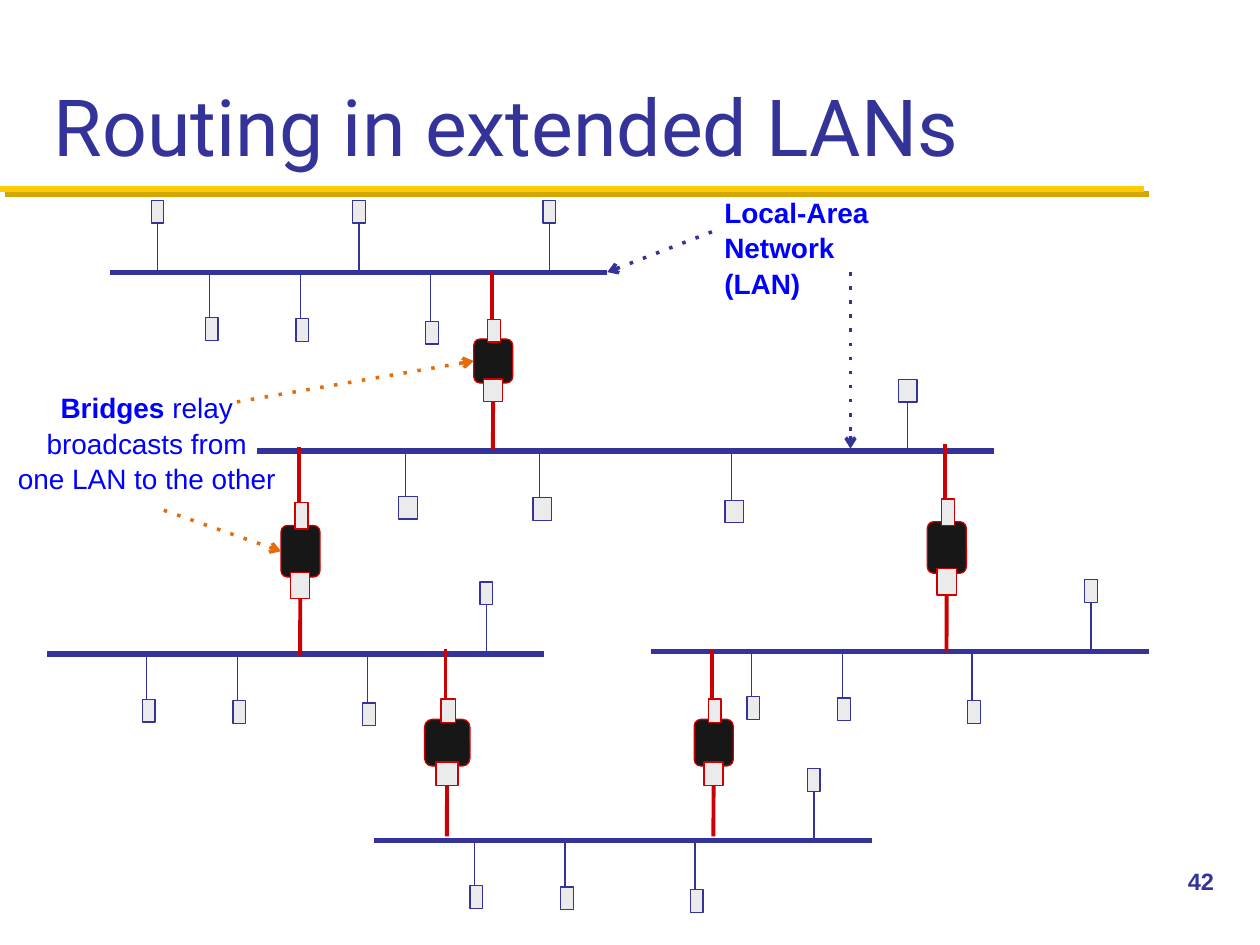
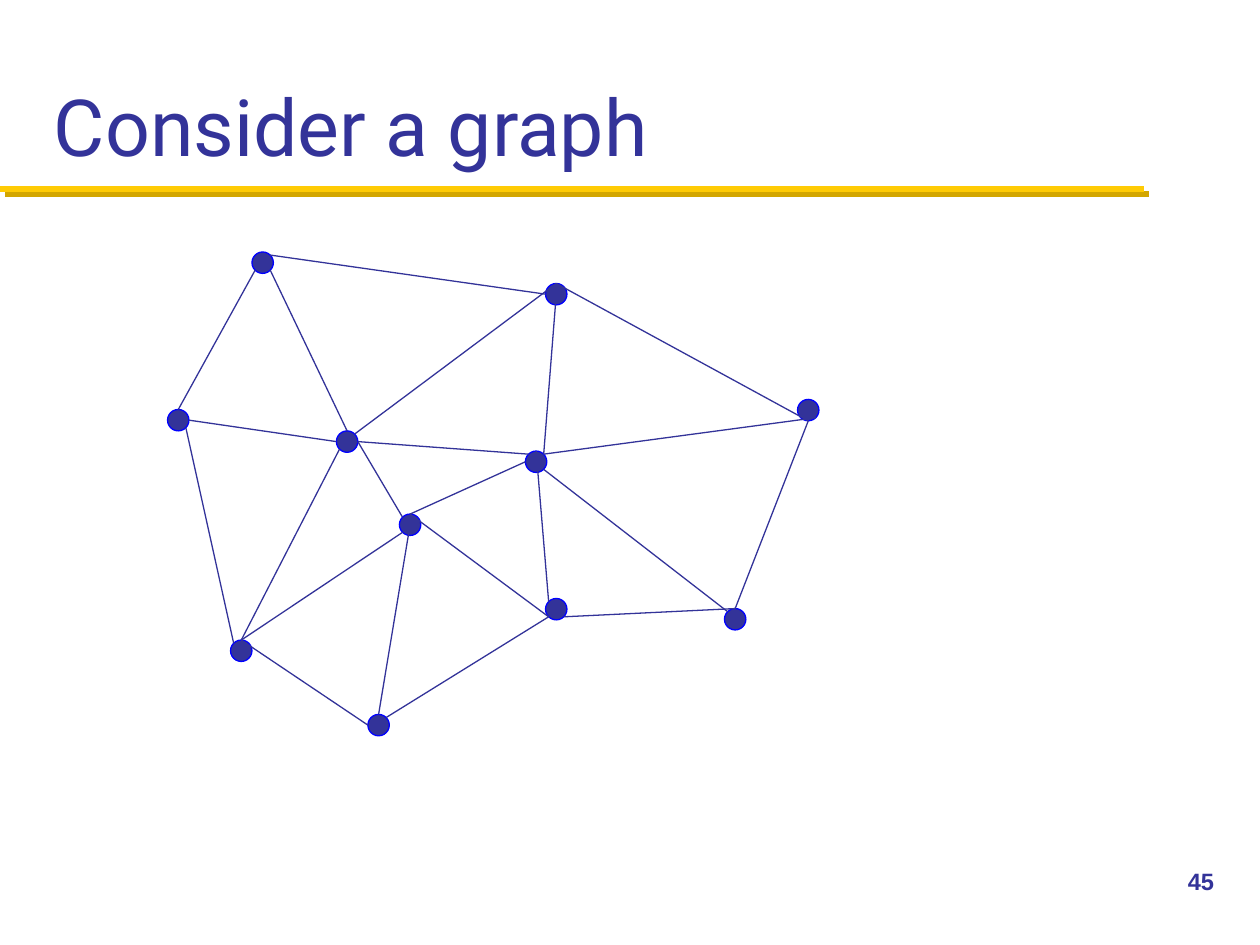
from dataclasses import dataclass

from lxml import etree
from pptx import Presentation
from pptx import util as u
from pptx.dml.color import RGBColor
from pptx.enum import shapes, text
from pptx.oxml import ns

NAVY = RGBColor(0x33, 0x33, 0x99)
GOLD = RGBColor(0xFF, 0xCB, 0x05)
GOLD_SHADOW = RGBColor(0xD3, 0xA6, 0x00)
BLUE = RGBColor(0x00, 0x00, 0xFF)
RED = RGBColor(0xCC, 0x00, 0x00)
ORANGE = RGBColor(0xE4, 0x6C, 0x0A)
BLACK = RGBColor(0x17, 0x17, 0x17)
GRAY = RGBColor(0xEB, 0xEB, 0xEB)

BODY_FONT = "Arial"
TITLE_FONT = "Roboto"
GRID = 2.54  # centimetres in one grid unit; all places below are in grid units
THIN = 0.75

Point = tuple[float, float]
Frame = tuple[float, float, float, float]


@dataclass(frozen=True)
class Lan:
    left: float
    y: float
    upper_hosts: tuple[float, ...] = (3.44,)
    scale: float = 1.0


@dataclass(frozen=True)
class Bridge:
    left: float
    top: float
    height: float
    width: float = 0.31


@dataclass(frozen=True)
class Label:
    frame: Frame
    lines: tuple[str, ...]
    size: float
    color: RGBColor
    bold: bool = False
    font: str = BODY_FONT
    align: text.PP_ALIGN = text.PP_ALIGN.LEFT
    anchor: text.MSO_ANCHOR = text.MSO_ANCHOR.TOP
    wrap: bool = True
    spacing: float = 1.0


@dataclass(frozen=True)
class Edge:
    start: str
    start_side: str
    end: str
    end_side: str


# Routing slide: networks, their hosts and the bridges between them
LAN_WIDTH = 3.95
LOWER_HOSTS = ((0.76, 0.36, -0.01), (1.48, 0.37, 0), (2.51, 0.39, 0.02))  # x, box drop, wire drop
LANS = (
    Lan(0.87, 2.16, (0.33, 1.93, 3.44)),
    Lan(2.04, 3.58, scale=1.48),
    Lan(0.37, 5.19),
    Lan(5.17, 5.17),
    Lan(2.97, 6.67),
)
BRIDGES = {
    "top": Bridge(3.76, 2.69, 0.35),
    "left": Bridge(2.23, 4.17, 0.41),
    "bottom left": Bridge(3.37, 5.71, 0.37, 0.36),
    "right": Bridge(7.36, 4.14, 0.41),
    "bottom right": Bridge(5.51, 5.71, 0.37),
}
LAN_LABEL = Label((5.65, 1.49, 1.72, 0.71), ("Local-Area", "Network (LAN)"),
                  16, BLUE, bold=True, spacing=1.05)
BRIDGE_LABEL = Label((0.03, 3.04, 2.27, 0.91),
                     ("Bridges relay", "broadcasts from", "one LAN to the other"),
                     16, BLUE, align=text.PP_ALIGN.CENTER, wrap=False, spacing=1.05)

# Graph slide: nodes by top left corner, edges by the side of the node they touch
NODE_SIZE = 0.17
NODES = {
    "A": (2, 2), "B": (1.33, 3.25), "C": (4.33, 2.25), "D": (4.33, 4.75),
    "E": (2.92, 5.67), "F": (2.67, 3.42), "G": (6.33, 3.17), "H": (3.17, 4.08),
    "I": (1.83, 5.08), "J": (4.17, 3.58), "K": (5.75, 4.83),
}
SIDES = {
    "middle": (0, 0), "N": (0, -1), "S": (0, 1), "E": (1, 0), "W": (-1, 0),
    "NE": (0.71, -0.71), "NW": (-0.71, -0.71), "SE": (0.71, 0.71), "SW": (-0.71, 0.71),
}
EDGES = (
    Edge("A", "SE", "F", "N"), Edge("A", "SW", "B", "N"),
    Edge("B", "SE", "I", "NW"), Edge("F", "E", "H", "NW"),
    Edge("J", "SE", "K", "NW"), Edge("C", "middle", "J", "NE"),
    Edge("C", "N", "G", "S"), Edge("G", "S", "K", "N"),
    Edge("I", "N", "E", "W"), Edge("H", "N", "D", "SW"),
    Edge("K", "N", "D", "SE"), Edge("J", "N", "D", "NW"),
    Edge("H", "middle", "E", "N"), Edge("F", "E", "J", "NW"),
    Edge("B", "E", "F", "W"), Edge("I", "N", "H", "SW"),
    Edge("E", "NE", "D", "SW"), Edge("I", "N", "F", "SW"),
    Edge("H", "N", "J", "W"), Edge("J", "NE", "G", "SE"),
    Edge("A", "NE", "C", "W"), Edge("F", "NE", "C", "N"),
)


def span(units: float) -> u.Length:
    return u.Cm(units * GRID)


def add_line(slide, start: Point, end: Point, color: RGBColor, width: float):
    line = slide.shapes.add_connector(
        shapes.MSO_CONNECTOR.STRAIGHT, *(span(value) for value in start + end))
    line.line.color.rgb = color
    line.line.width = u.Pt(width)
    etree.SubElement(line._element.spPr, ns.qn("a:effectLst"))
    return line


def add_dotted_arrow(slide, start: Point, end: Point, color: RGBColor):
    arrow = add_line(slide, start, end, color, 2)
    outline = arrow.line._get_or_add_ln()
    etree.SubElement(outline, ns.qn("a:prstDash"), val="dot")
    etree.SubElement(outline, ns.qn("a:tailEnd"), type="arrow")
    return arrow


def add_box(slide, kind: shapes.MSO_SHAPE, frame: Frame, fill: RGBColor, outline: RGBColor):
    shape = slide.shapes.add_shape(kind, *(span(value) for value in frame))
    shape.shadow.inherit = False
    shape.fill.solid()
    shape.fill.fore_color.rgb = fill
    shape.line.color.rgb = outline
    shape.line.width = u.Pt(THIN)
    return shape


def add_label(slide, label: Label):
    box = slide.shapes.add_textbox(*(span(value) for value in label.frame))
    frame = box.text_frame
    frame.word_wrap = label.wrap
    frame.vertical_anchor = label.anchor
    frame.text = "\n".join(label.lines)
    for paragraph in frame.paragraphs:
        paragraph.alignment = label.align
        paragraph.line_spacing = label.spacing
        for run in paragraph.runs:
            style_run(run, label, label.bold)
    return box


def style_run(run, label: Label, bold: bool) -> None:
    run.font.name = label.font
    run.font.size = u.Pt(label.size)
    run.font.bold = bold
    run.font.color.rgb = label.color


def add_base_slide(presentation, title: str, number: int):
    """Blank slide with the gold rule, the title and the page number."""
    slide = presentation.slides.add_slide(presentation.slide_layouts[6])
    rule = add_line(slide, (0, 1.5), (9.08, 1.5), GOLD, 3.5)
    effects = rule._element.spPr.find(ns.qn("a:effectLst"))
    shadow = etree.SubElement(effects, ns.qn("a:outerShdw"), dist=str(u.Pt(4.2)),
                              dir="2700000", algn="ctr", rotWithShape="0")
    etree.SubElement(shadow, ns.qn("a:srgbClr"), val=str(GOLD_SHADOW))
    add_label(slide, Label((0.33, 0.17, 9.33, 1.25), (title,), 45, NAVY,
                           font=TITLE_FONT, anchor=text.MSO_ANCHOR.BOTTOM))
    add_label(slide, Label((9.33, 6.83, 0.67, 0.5), (str(number),), 13.5, NAVY, bold=True))
    return slide


def draw_lan(slide, lan: Lan) -> None:
    width, height = 0.1 * lan.scale, 0.18
    add_line(slide, (lan.left + LAN_WIDTH * lan.scale, lan.y), (lan.left, lan.y), NAVY, 3)
    for offset in lan.upper_hosts:
        left = lan.left + offset * lan.scale
        middle = left + width / 2
        host = add_box(slide, shapes.MSO_SHAPE.RECTANGLE,
                       (left, lan.y - 0.57, width, height), GRAY, NAVY)
        wire = add_line(slide, (middle, lan.y - 0.39), (middle, lan.y), NAVY, THIN)
        wire.begin_connect(host, 2)
    for offset, drop, wire_drop in LOWER_HOSTS:
        left, top = lan.left + offset * lan.scale, lan.y + drop
        wire_x = left + 0.35 * width
        add_box(slide, shapes.MSO_SHAPE.RECTANGLE, (left, top, width, height), GRAY, NAVY)
        add_line(slide, (wire_x, top), (wire_x, lan.y + wire_drop), NAVY, THIN)


def draw_bridge(slide, bridge: Bridge):
    """Body, two ports and two cables, all in proportion to the body; returns the body."""
    def at(x: float, y: float) -> Point:
        return bridge.left + x * bridge.width, bridge.top + y * bridge.height

    def port(x: float, y: float, width: float):
        frame = (*at(x, y), width * bridge.width, 0.51 * bridge.height)
        return add_box(slide, shapes.MSO_SHAPE.RECTANGLE, frame, GRAY, RED)

    body = add_box(slide, shapes.MSO_SHAPE.ROUNDED_RECTANGLE,
                   (*at(0, 0), bridge.width, bridge.height), BLACK, RED)
    port(0.36, -0.44, 0.33)
    add_line(slide, at(0.46, -0.45), at(0.46, -1.51), RED, 2.25)
    lower_port = port(0.25, 0.91, 0.49)
    cable = add_line(slide, at(0.49, 1.42), at(0.49, 2.51), RED, 2.25)
    cable.begin_connect(lower_port, 2)
    return body


def build_routing_slide(presentation) -> None:
    slide = add_base_slide(presentation, "Routing in extended LANs", 42)
    for lan in LANS:
        draw_lan(slide, lan)
    bodies = {name: draw_bridge(slide, bridge) for name, bridge in BRIDGES.items()}

    # Labels and the arrows that lead from them
    add_label(slide, LAN_LABEL)
    add_dotted_arrow(slide, (5.65, 1.84), (4.82, 2.16), NAVY)
    add_dotted_arrow(slide, (6.75, 2.16), (6.75, 3.56), NAVY)
    paragraph = add_label(slide, BRIDGE_LABEL).text_frame.paragraphs[0]
    term, rest = BRIDGE_LABEL.lines[0].split(" ")
    paragraph.runs[0].text = term
    paragraph.runs[0].font.bold = True
    rest_run = paragraph.add_run()
    rest_run.text = f" {rest}"
    style_run(rest_run, BRIDGE_LABEL, False)
    for start, name in (((1.3, 4.05), "left"), ((1.88, 3.19), "top")):
        target = BRIDGES[name]
        end = (target.left, target.top + target.height / 2)
        add_dotted_arrow(slide, start, end, ORANGE).end_connect(bodies[name], 1)


def node_point(name: str, side: str) -> Point:
    radius = NODE_SIZE / 2
    (left, top), (x, y) = NODES[name], SIDES[side]
    return left + radius * (1 + x), top + radius * (1 + y)


def build_graph_slide(presentation) -> None:
    slide = add_base_slide(presentation, "Consider a graph", 45)
    for corner in NODES.values():
        add_box(slide, shapes.MSO_SHAPE.OVAL, (*corner, NODE_SIZE, NODE_SIZE), NAVY, BLUE)
    for edge in EDGES:
        add_line(slide, node_point(edge.start, edge.start_side),
                 node_point(edge.end, edge.end_side), NAVY, THIN)


def main() -> None:
    presentation = Presentation()
    presentation.slide_width, presentation.slide_height = u.Cm(25.4), u.Cm(19.05)
    build_routing_slide(presentation)
    build_graph_slide(presentation)
    presentation.save("out.pptx")


if __name__ == "__main__":
    main()
